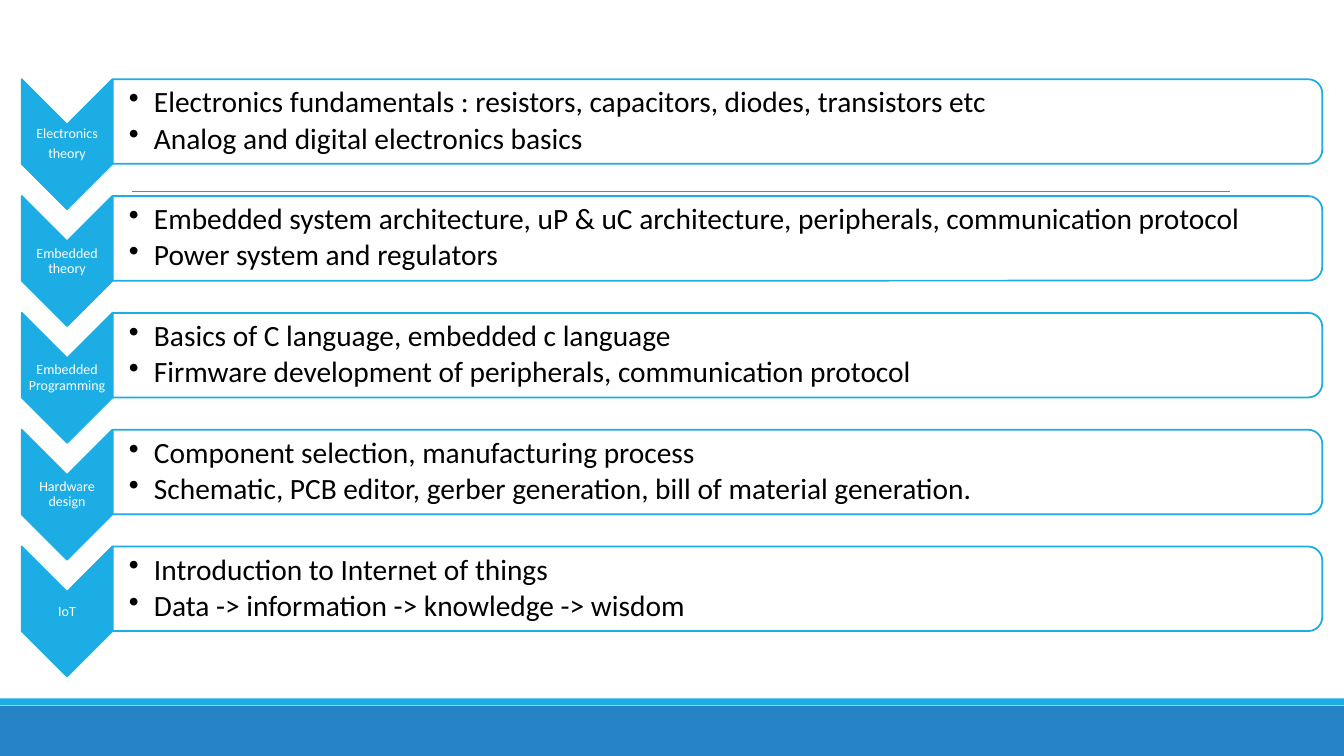
from lxml.etree import SubElement
from pptx import Presentation
from pptx.dml.color import RGBColor
from pptx.enum.shapes import MSO_CONNECTOR, MSO_SHAPE as Preset
from pptx.enum.text import MSO_ANCHOR, PP_ALIGN
from pptx.oxml.ns import qn
from pptx.util import Pt

COLORS = {"white": "FFFFFF", "black": "000000", "cyan": "1CADE4",
          "blue": "2683C6", "gray": "808080"}
STAGES = [
    (["Electronics", "theory"],
     ["Electronics fundamentals : resistors, capacitors, diodes, transistors etc",
      "Analog and digital electronics basics"]),
    (["Embedded theory"],
     ["Embedded system architecture, uP & uC architecture, peripherals, communication protocol",
      "Power system and regulators"]),
    (["Embedded Programming"],
     ["Basics of C language, embedded c language",
      "Firmware development of peripherals, communication protocol"]),
    (["Hardware design"],
     ["Component selection, manufacturing process",
      "Schematic, PCB editor, gerber generation, bill of material generation."]),
    (["IoT"],
     ["Introduction to Internet of things",
      "Data -> information -> knowledge -> wisdom"]),
]
FIRST_TOP, PITCH = 56.6, 83.45
CHEVRON_LEFT, CHEVRON_WIDTH, CHEVRON_HEIGHT = 15.5, 64.8, 92.8
PANEL_LEFT, PANEL_WIDTH, PANEL_HEIGHT = 80.5, 864, 60.4

deck = Presentation()
deck.slide_width, deck.slide_height = Pt(960), Pt(540)
page = deck.slides.add_slide(deck.slide_layouts[6])


def add_shape(preset, left, top, width, height, fill, line=None, turned=False):
    """Place a shape by its visible frame; a turned one is rotated 90 degrees."""
    if turned:
        left, top = left + (width - height) / 2, top + (height - width) / 2
        width, height = height, width
    shape = page.shapes.add_shape(preset, Pt(left), Pt(top), Pt(width), Pt(height))
    shape.rotation = 90 if turned else 0
    shape.shadow.inherit = False
    shape.fill.solid()
    shape.fill.fore_color.rgb = RGBColor.from_string(COLORS[fill])
    if line:
        shape.line.color.rgb = RGBColor.from_string(COLORS[line])
        shape.line.width = Pt(1.25)
    else:
        shape.line.fill.background()


def add_text(lines, left, top, width, height, *, size, color, after,
             inset=0.7, align=PP_ALIGN.LEFT, bullet=None):
    box = page.shapes.add_textbox(Pt(left), Pt(top), Pt(width), Pt(height))
    frame = box.text_frame
    frame.word_wrap = True
    frame.vertical_anchor = MSO_ANCHOR.MIDDLE
    frame.margin_left = Pt(inset)
    frame.margin_top = frame.margin_right = frame.margin_bottom = Pt(0.7)
    for number, line in enumerate(lines):
        para = frame.add_paragraph() if number else frame.paragraphs[0]
        para.alignment, para.line_spacing, para.space_after = align, 0.9, Pt(after)
        span = para.add_run()
        span.text = line
        span.font.name, span.font.size = "Calibri", Pt(size)
        span.font.color.rgb = RGBColor.from_string(COLORS[color])
        if bullet:
            properties = para._p.get_or_add_pPr()
            properties.set("marL", str(Pt(18)))
            properties.set("indent", str(-Pt(18)))
            SubElement(properties, qn("a:buChar")).set("char", bullet)


add_shape(Preset.RECTANGLE, 0, 504, 960, 36, "blue")
add_shape(Preset.RECTANGLE, 0, 498.8, 960, 5, "cyan")
rule = page.shapes.add_connector(MSO_CONNECTOR.STRAIGHT, Pt(94.3), Pt(136.6), Pt(878.8), Pt(136.6))
rule.line.color.rgb = RGBColor.from_string(COLORS["gray"])
rule.line.width = Pt(0.5)
SubElement(rule._element.spPr, qn("a:effectLst"))

for index, (label, topics) in enumerate(STAGES):
    top = FIRST_TOP + index * PITCH
    add_shape(Preset.CHEVRON, CHEVRON_LEFT, top, CHEVRON_WIDTH, CHEVRON_HEIGHT,
              "cyan", line="cyan", turned=True)
    add_text(label, CHEVRON_LEFT, top + 32.5, CHEVRON_WIDTH, 28,
             size=10, color="white", after=3.5, align=PP_ALIGN.CENTER)
    add_shape(Preset.ROUND_2_SAME_RECTANGLE, PANEL_LEFT, top, PANEL_WIDTH, PANEL_HEIGHT,
              "white", line="cyan", turned=True)
    add_text(topics, PANEL_LEFT, top + 3, PANEL_WIDTH - 3, PANEL_HEIGHT - 6,
             size=21, color="black", after=3.15, inset=11.5, bullet="•")

deck.save("out.pptx")
